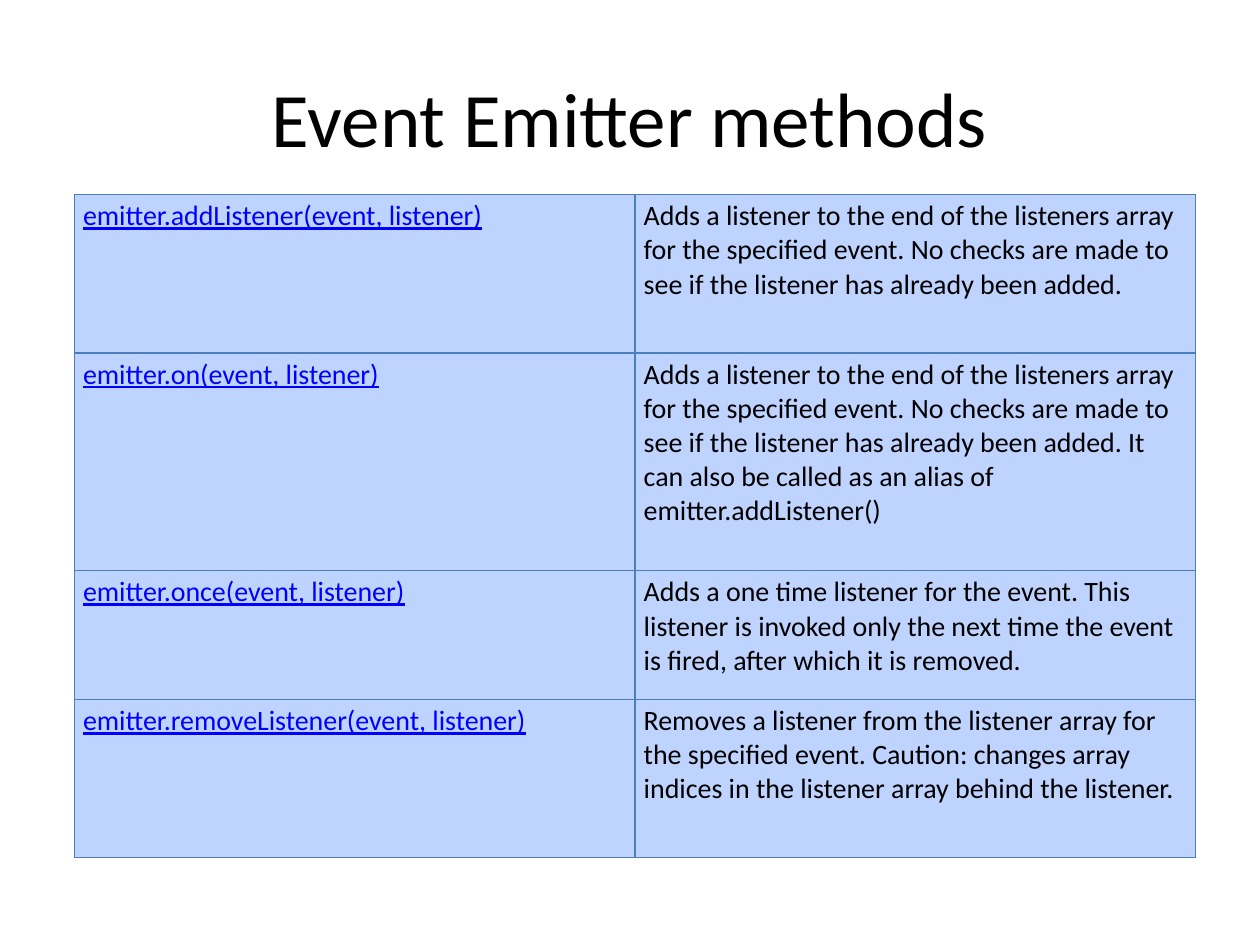
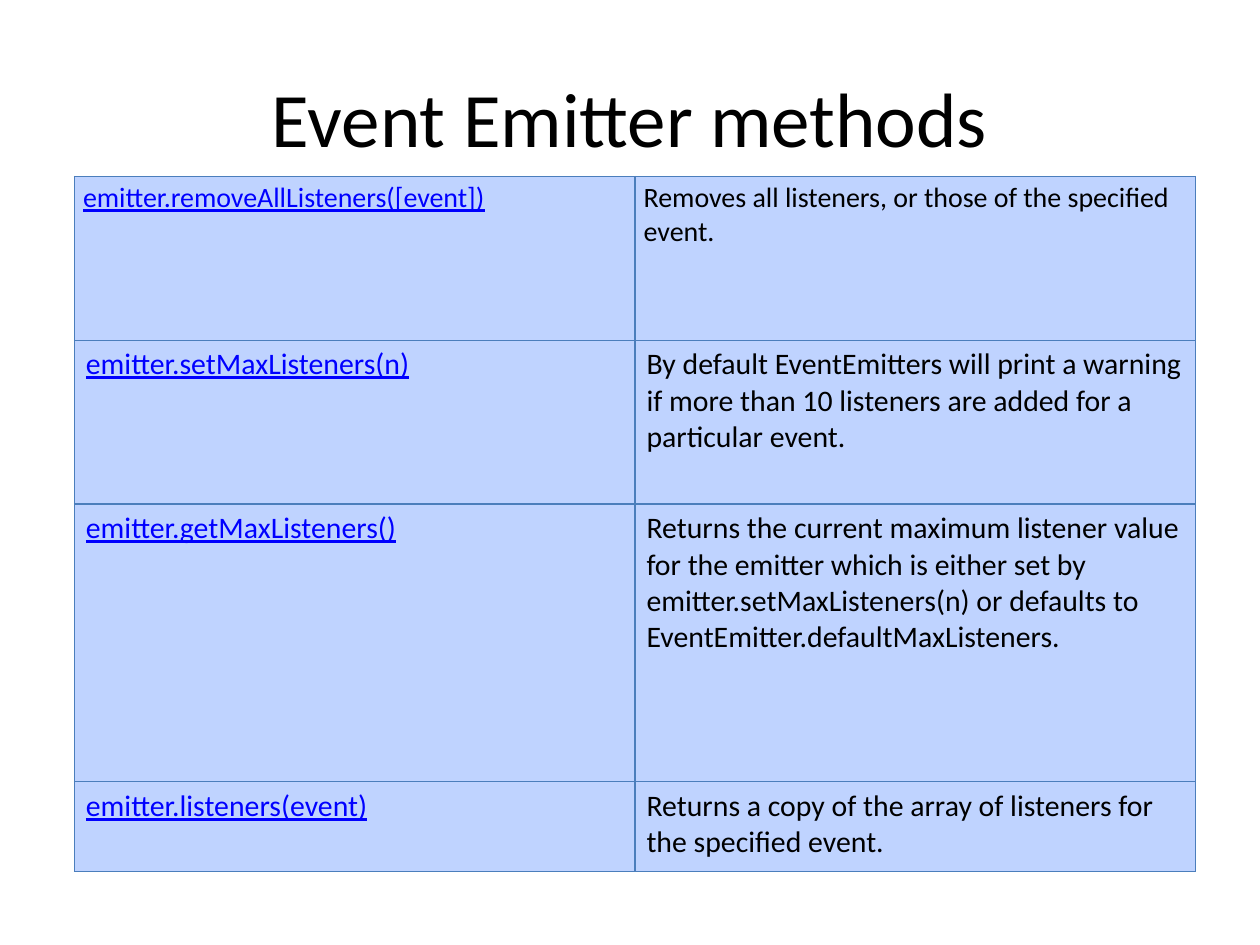
from lxml import etree
from pptx import Presentation
from pptx.dml.color import RGBColor
from pptx.enum.text import MSO_ANCHOR, PP_ALIGN
from pptx.oxml.ns import qn
from pptx.util import Pt

MIDDLE, TOP = MSO_ANCHOR.MIDDLE, MSO_ANCHOR.TOP
LEFT, CENTER = PP_ALIGN.LEFT, PP_ALIGN.CENTER

COLORS = {"text": "000000", "link": "0000FF", "fill": "BFD3FF", "line": "4B7EBC"}
FONT = "Calibri"
TITLE = "Event Emitter methods"
TABLE_LEFT, COL_WIDTH = 42.5, 320.4
BORDER = 0.75

# Text size, side inset and top inset of a row
SMALL = (16, 5, 2.5)
LARGE = (17, 6.6, 3.6)

# Each row: height, style, method, meaning
ADDING = [
    (90.5, SMALL, "emitter.addListener(event, listener)",
     "Adds a listener to the end of the listeners array for the specified event. "
     "No checks are made to see if the listener has already been added."),
    (124.5, SMALL, "emitter.on(event, listener)",
     "Adds a listener to the end of the listeners array for the specified event. "
     "No checks are made to see if the listener has already been added. "
     "It can also be called as an alias of emitter.addListener()"),
    (73.5, SMALL, "emitter.once(event, listener)",
     "Adds a one time listener for the event. This listener is invoked only "
     "the next time the event is fired, after which it is removed."),
    (90.5, SMALL, "emitter.removeListener(event, listener)",
     "Removes a listener from the listener array for the specified event. "
     "Caution: changes array indices in the listener array behind the listener."),
]
LIMITS = [
    (93.6, SMALL, "emitter.removeAllListeners([event])",
     "Removes all listeners, or those of the specified event."),
    (93.6, LARGE, "emitter.setMaxListeners(n)",
     "By default EventEmitters will print a warning if more than 10 listeners "
     "are added for a particular event."),
    (158.6, LARGE, "emitter.getMaxListeners()",
     "Returns the current maximum listener value for the emitter which is either "
     "set by emitter.setMaxListeners(n) or defaults to "
     "EventEmitter.defaultMaxListeners."),
    (51.6, LARGE, "emitter.listeners(event)",
     "Returns a copy of the array of listeners for the specified event."),
]


def write(frame, text, size, color="text", align=LEFT, under=False):
    frame.word_wrap = True
    para = frame.paragraphs[0]
    para.alignment = align
    run = para.add_run()
    run.text = text
    font = run.font
    font.name, font.size = FONT, Pt(size)
    font.bold, font.underline = False, under
    font.color.rgb = RGBColor.from_string(COLORS[color])


def add_title(slide):
    frame = slide.shapes.add_textbox(Pt(36), Pt(21.6), Pt(648), Pt(90)).text_frame
    frame.vertical_anchor = MIDDLE
    write(frame, TITLE, 44, align=CENTER)


def add_border(cell):
    """Draw all four sides; the lines must come before the fill in the XML."""
    props = cell._tc.get_or_add_tcPr()
    for spot, side in enumerate(("lnL", "lnR", "lnT", "lnB")):
        line = etree.Element(qn(f"a:{side}"), w=str(Pt(BORDER)))
        fill = etree.SubElement(line, qn("a:solidFill"))
        etree.SubElement(fill, qn("a:srgbClr"), val=COLORS["line"])
        props.insert(spot, line)


def fill_cell(cell, text, style, **form):
    size, side, top = style
    cell.margin_left = cell.margin_right = Pt(side)
    cell.margin_top = cell.margin_bottom = Pt(top)
    cell.vertical_anchor = TOP
    cell.fill.solid()
    cell.fill.fore_color.rgb = RGBColor.from_string(COLORS["fill"])
    add_border(cell)
    write(cell.text_frame, text, size, **form)


def add_methods(slide, top, rows):
    height = sum(row[0] for row in rows)
    table = slide.shapes.add_table(len(rows), 2, Pt(TABLE_LEFT), Pt(top),
                                   Pt(2 * COL_WIDTH), Pt(height)).table
    table.first_row = table.horz_banding = False
    for col in table.columns:
        col.width = Pt(COL_WIDTH)
    for num, (tall, style, method, meaning) in enumerate(rows):
        table.rows[num].height = Pt(tall)
        fill_cell(table.cell(num, 0), method, style, color="link", under=True)
        fill_cell(table.cell(num, 1), meaning, style)


def main():
    deck = Presentation()
    deck.slide_width, deck.slide_height = Pt(720), Pt(540)
    blank = deck.slide_layouts[6]
    for top, rows in ((111.2, ADDING), (100.8, LIMITS)):
        slide = deck.slides.add_slide(blank)
        add_title(slide)
        add_methods(slide, top, rows)
    deck.save("out.pptx")


if __name__ == "__main__":
    main()
